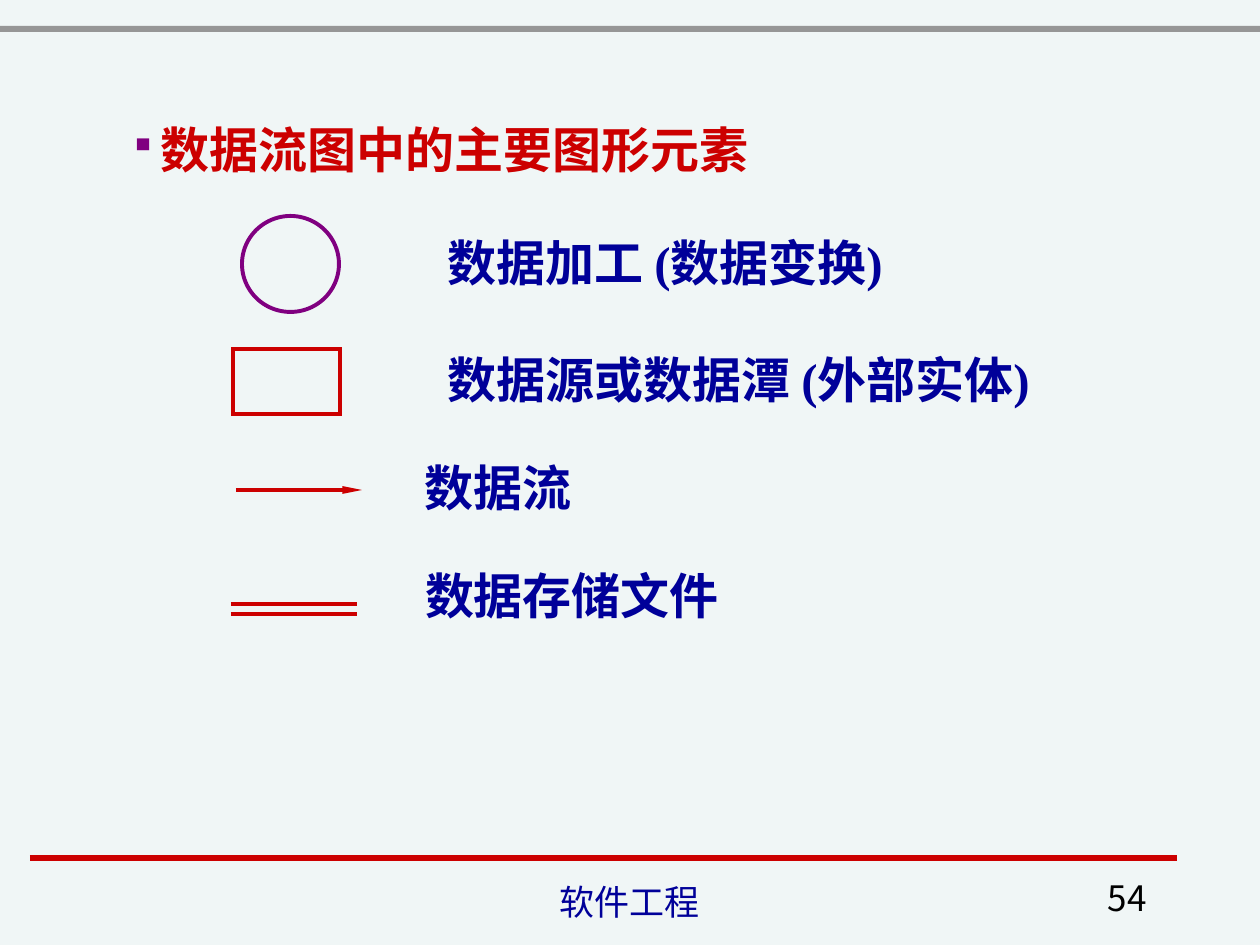
from lxml import etree
from pptx import Presentation
from pptx.dml.color import RGBColor
from pptx.enum.shapes import MSO_CONNECTOR as CONNECTOR, MSO_SHAPE as SHAPE
from pptx.enum.text import (MSO_ANCHOR as ANCHOR, MSO_AUTO_SIZE as AUTO_SIZE,
                            PP_ALIGN as ALIGN)
from pptx.oxml.ns import qn
from pptx.util import Emu, Inches, Pt

PX_PER_INCH = 126
BACKGROUND = RGBColor(0xF0, 0xF6, 0xF6)
GRAY = RGBColor(0x96, 0x96, 0x96)
RED = RGBColor(0xCC, 0x00, 0x00)
PURPLE = RGBColor(0x80, 0x00, 0x80)
BLUE = RGBColor(0x00, 0x00, 0x99)
BLACK = RGBColor(0x00, 0x00, 0x00)
SERIF = "Times New Roman"

# text, left, top, width
LEGEND = [
    ("数据加工 (数据变换)", 385, 226, 510),
    ("数据源或数据潭 (外部实体)", 386, 343, 656),
    ("数据流", 410, 451, 174),
    ("数据存储文件", 410, 559, 321),
]


def px(length):
    return Emu(round(length * Inches(1) / PX_PER_INCH))


def add_text(slide, text, box, size, color, font_name, bold=False,
             align=ALIGN.LEFT, anchor=ANCHOR.TOP, wrap=True):
    shape = slide.shapes.add_textbox(*map(px, box))
    frame = shape.text_frame
    frame.word_wrap = wrap
    frame.auto_size = AUTO_SIZE.NONE if wrap else AUTO_SIZE.SHAPE_TO_FIT_TEXT
    frame.vertical_anchor = anchor
    paragraph = frame.paragraphs[0]
    paragraph.text = text
    paragraph.alignment = align
    font = paragraph.font
    font.name, font.size, font.bold = font_name, Pt(size), bold
    font.color.rgb = color
    return paragraph


def add_bullet(paragraph, character, color, indent):
    properties = paragraph._p.get_or_add_pPr()
    properties.set("marL", str(indent))
    properties.set("indent", str(-indent))
    bullet_color = etree.Element(qn("a:buClr"))
    etree.SubElement(bullet_color, qn("a:srgbClr"), val=str(color))
    properties.insert(0, bullet_color)
    properties.insert(1, etree.Element(qn("a:buSzPct"), val="75000"))
    properties.insert(2, etree.Element(qn("a:buChar"), char=character))


def add_shape(slide, kind, box, fill=None, outline=None):
    shape = slide.shapes.add_shape(kind, *map(px, box))
    shape.shadow.inherit = False
    if fill is None:
        shape.fill.background()
    else:
        shape.fill.solid()
        shape.fill.fore_color.rgb = fill
    if outline is None:
        shape.line.fill.background()
    else:
        shape.line.color.rgb = outline
        shape.line.width = Pt(2.25)
        etree.SubElement(shape.line._get_or_add_ln(), qn("a:miter"),
                         lim="800000")


def add_horizontal_line(slide, left, right, y, width=2.25, arrow=False):
    line = slide.shapes.add_connector(
        CONNECTOR.STRAIGHT, px(left), px(y), px(right), px(y))
    line.line.color.rgb = RED
    line.line.width = Pt(width)
    etree.SubElement(line._element.spPr, qn("a:effectLst"))
    if arrow:
        etree.SubElement(line.line._get_or_add_ln(), qn("a:tailEnd"),
                         type="triangle", w="sm", len="lg")


def add_frame(slide):
    """Draw the top band, the footer rule and the footer texts."""
    add_shape(slide, SHAPE.RECTANGLE, (0, 26, 1260, 6), fill=GRAY)
    add_horizontal_line(slide, 30, 1177, 858, width=3)
    add_text(slide, "软件工程", (430, 880, 399, 49), 20, BLUE, "Arial Narrow",
             align=ALIGN.CENTER, anchor=ANCHOR.BOTTOM)
    add_text(slide, "54", (897, 877, 262, 48), 20, BLACK, "Noto Sans CJK SC",
             align=ALIGN.RIGHT, anchor=ANCHOR.BOTTOM)


def add_symbols(slide):
    add_shape(slide, SHAPE.OVAL, (242, 216, 97, 96), outline=PURPLE)
    add_shape(slide, SHAPE.RECTANGLE, (233, 349, 107, 65), outline=RED)
    add_horizontal_line(slide, 236, 362, 490, arrow=True)
    for y in (604, 614):
        add_horizontal_line(slide, 231, 357, y)


def main():
    presentation = Presentation()
    presentation.slide_width, presentation.slide_height = px(1260), px(945)
    slide = presentation.slides.add_slide(presentation.slide_layouts[6])
    slide.background.fill.solid()
    slide.background.fill.fore_color.rgb = BACKGROUND

    add_frame(slide)
    heading = add_text(slide, "数据流图中的主要图形元素", (117, 113, 1071, 89),
                       28, RED, SERIF, bold=True)
    add_bullet(heading, "▪", PURPLE, Inches(0.25))
    add_symbols(slide)
    for text, left, top, width in LEGEND:
        add_text(slide, text, (left, top, width, 72), 28, BLUE, SERIF,
                 bold=True, align=ALIGN.RIGHT, wrap=False)
    presentation.save("out.pptx")


if __name__ == "__main__":
    main()
